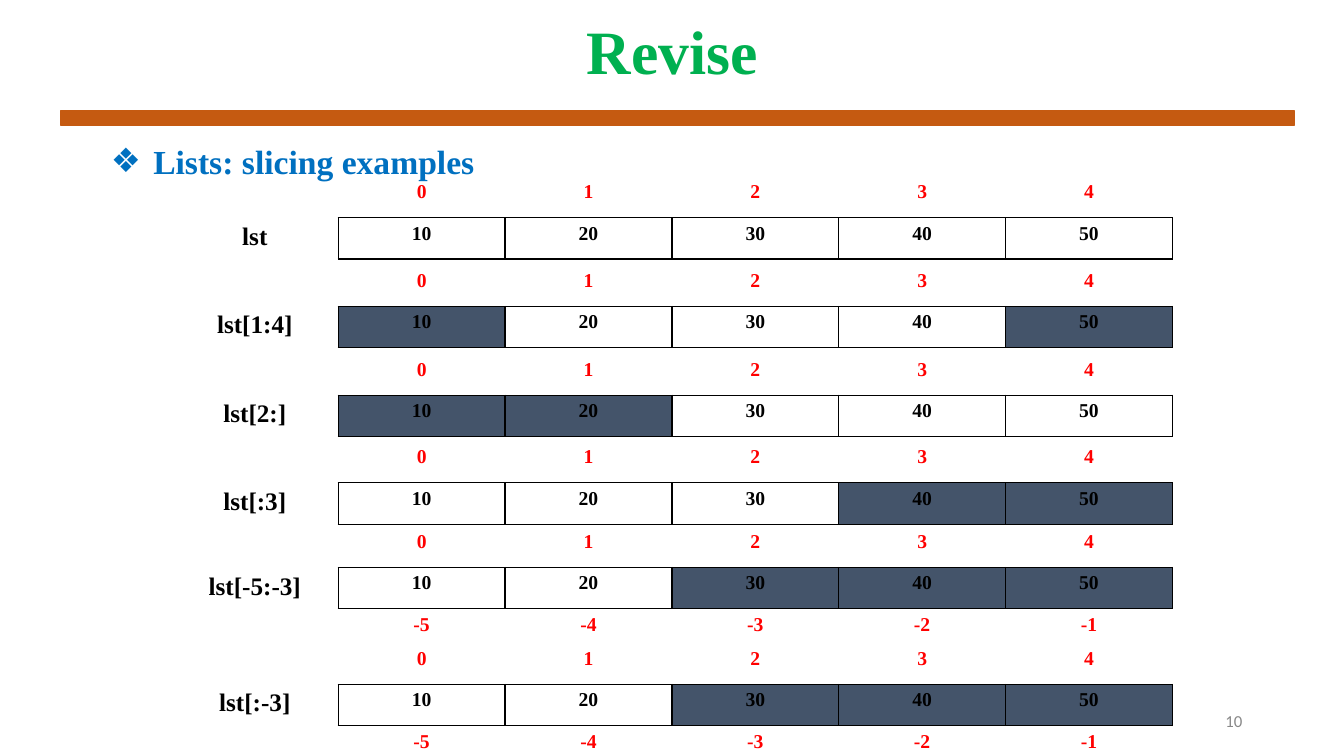
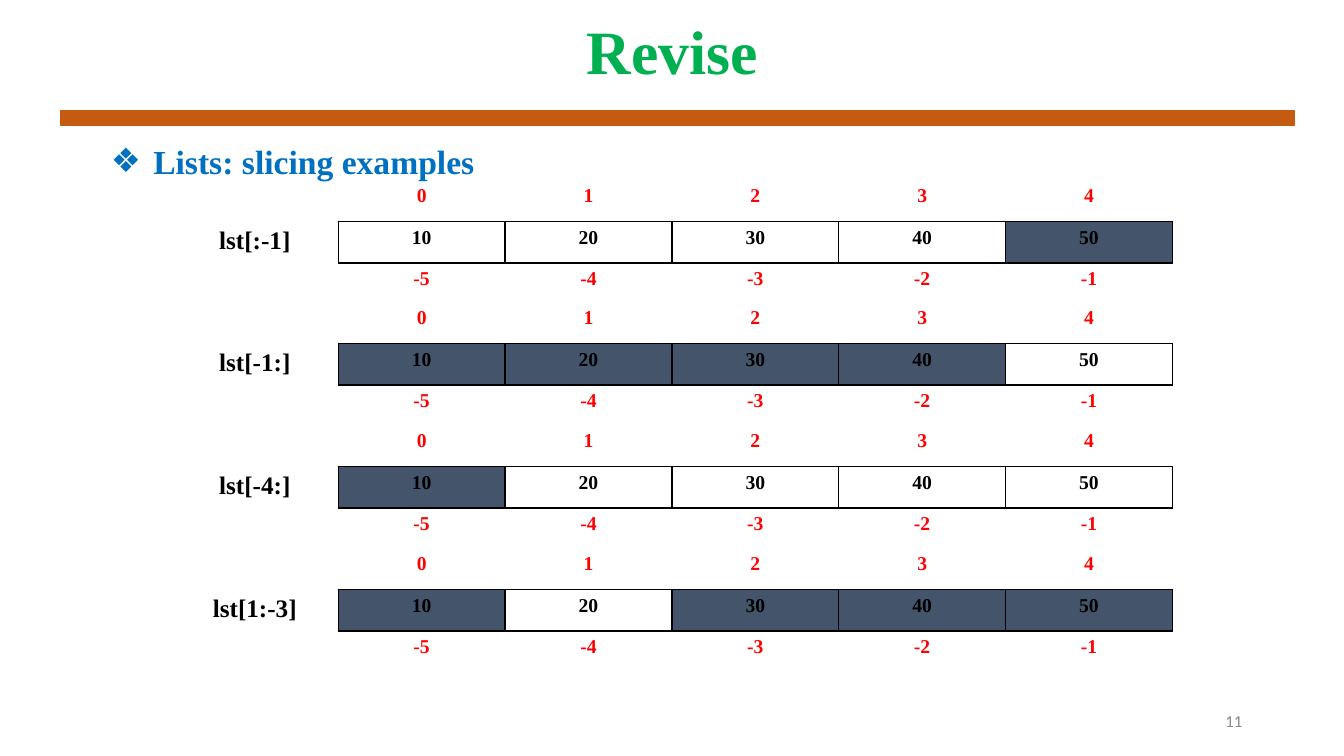
from lxml.etree import SubElement
from pptx import Presentation
from pptx.dml.color import RGBColor
from pptx.enum.shapes import MSO_SHAPE
from pptx.enum.text import MSO_ANCHOR, MSO_AUTO_SIZE, PP_ALIGN
from pptx.oxml.ns import qn
from pptx.util import Inches, Pt

GREEN = RGBColor(0x00, 0xB0, 0x50)
ORANGE = RGBColor(0xC5, 0x5A, 0x11)
BLUE = RGBColor(0x00, 0x70, 0xC0)
RED = RGBColor(0xFF, 0x00, 0x00)
BLACK = RGBColor(0x00, 0x00, 0x00)
SLATE = RGBColor(0x44, 0x54, 0x6A)
GREY = RGBColor(0x88, 0x88, 0x88)

SERIF = "Times New Roman"
VALUES = [10, 20, 30, 40, 50]
COUNT = len(VALUES)
TABLE_LEFT, TABLE_WIDTH, ROW_HEIGHT = 1.7, 9.93, 0.41

# Each entry: top, slice start, slice stop, whether negative indices show
SLIDES = [
    (10, [
        (1.75, None, None, False),
        (2.63, 1, 4, False),
        (3.51, 2, None, False),
        (4.38, None, 3, False),
        (5.22, -5, -3, True),
        (6.38, None, -3, True),
    ]),
    (11, [
        (1.79, None, -1, True),
        (3, -1, None, True),
        (4.22, -4, None, True),
        (5.44, 1, -3, True),
    ]),
]


def place(sp, left, top, width, height):
    sp.left, sp.top = Inches(left), Inches(top)
    sp.width, sp.height = Inches(width), Inches(height)


def write(tf, text, size, color, align=PP_ALIGN.CENTER, font=SERIF, bold=True):
    tf.text = str(text)
    p = tf.paragraphs[0]
    p.alignment = align
    f = p.runs[0].font
    f.name, f.size, f.bold = font, Pt(size), bold
    f.color.rgb = color
    return p


def add_title(s, text):
    sp = s.shapes.title
    place(sp, 0.92, 0, 11.5, 1.09)
    tf = sp.text_frame
    tf.auto_size = MSO_AUTO_SIZE.NONE
    tf.vertical_anchor = MSO_ANCHOR.MIDDLE
    write(tf, text, 44, GREEN).line_spacing = 0.9


def add_band(s):
    sp = s.shapes.add_shape(MSO_SHAPE.RECTANGLE, Inches(0.6), Inches(1.1),
                            Inches(12.24), Inches(0.14))
    sp.shadow.inherit = False
    sp.fill.solid()
    sp.fill.fore_color.rgb = ORANGE
    sp.line.color.rgb = ORANGE
    sp.line.width = Pt(1)


def add_page_number(s, number):
    sp = s.shapes.add_textbox(Inches(9.42), Inches(6.95), Inches(3), Inches(0.4))
    tf = sp.text_frame
    tf.word_wrap = True
    tf.vertical_anchor = MSO_ANCHOR.MIDDLE
    write(tf, number, 12, GREY, PP_ALIGN.RIGHT, "Calibri", False)


def add_heading(s, text):
    sp = s.placeholders[1]
    place(sp, 0.92, 1.39, 11.67, 0.79)
    tf = sp.text_frame
    tf.auto_size = MSO_AUTO_SIZE.NONE
    p = write(tf, text, 24, BLUE, PP_ALIGN.LEFT)
    p.line_spacing = 0.9
    p.space_before = Pt(0)
    pPr = p._p.get_or_add_pPr()
    pPr.set("marL", str(Inches(0.5)))
    pPr.set("indent", str(Inches(-0.42)))
    SubElement(SubElement(pPr, qn("a:buClr")), qn("a:srgbClr"), val=str(BLUE))
    SubElement(pPr, qn("a:buChar"), char="❖")


def set_borders(cell, sides):
    tcPr = cell._tc.get_or_add_tcPr()
    for side in "LRTB":
        ln = SubElement(tcPr, qn(f"a:ln{side}"), w=str(Pt(1)))
        if side in sides:
            SubElement(SubElement(ln, qn("a:solidFill")), qn("a:srgbClr"), val=str(BLACK))
        else:
            SubElement(ln, qn("a:noFill"))


def fill_cell(cell, text, size, color, sides="", shaded=False):
    set_borders(cell, sides)
    if shaded:
        cell.fill.solid()
        cell.fill.fore_color.rgb = SLATE
    else:
        cell.fill.background()
    if text != "":
        write(cell.text_frame, text, size, color)


def slice_label(start, stop):
    if start is None and stop is None:
        return "lst"
    first, last = ("" if n is None else n for n in (start, stop))
    return f"lst[{first}:{last}]"


def add_slice_table(s, top, start, stop, negative):
    rows = 3 if negative else 2
    frame = s.shapes.add_table(rows, COUNT + 1, Inches(TABLE_LEFT), Inches(top),
                               Inches(TABLE_WIDTH), Inches(ROW_HEIGHT * rows))
    table = frame.table
    table.first_row = table.horz_banding = False
    for row in table.rows:
        row.height = Inches(ROW_HEIGHT)
    for r in range(rows):
        label = slice_label(start, stop) if r == 1 else ""
        fill_cell(table.cell(r, 0), label, 18, BLACK, "R" if r == 1 else "")
    kept = range(COUNT)[start:stop]
    for i, value in enumerate(VALUES):
        fill_cell(table.cell(0, i + 1), i, 14, RED, "B")
        fill_cell(table.cell(1, i + 1), value, 14, BLACK, "LRTB", i not in kept)
        if negative:
            fill_cell(table.cell(2, i + 1), i - COUNT, 14, RED, "T")


def add_slicing_slide(prs, number, examples):
    s = prs.slides.add_slide(prs.slide_layouts[1])
    add_title(s, "Revise")
    add_band(s)
    add_page_number(s, number)
    add_heading(s, "Lists: slicing examples")
    for example in examples:
        add_slice_table(s, *example)


def main():
    prs = Presentation()
    prs.slide_width, prs.slide_height = Inches(13.33), Inches(7.5)
    for number, examples in SLIDES:
        add_slicing_slide(prs, number, examples)
    prs.save("out.pptx")


if __name__ == "__main__":
    main()
